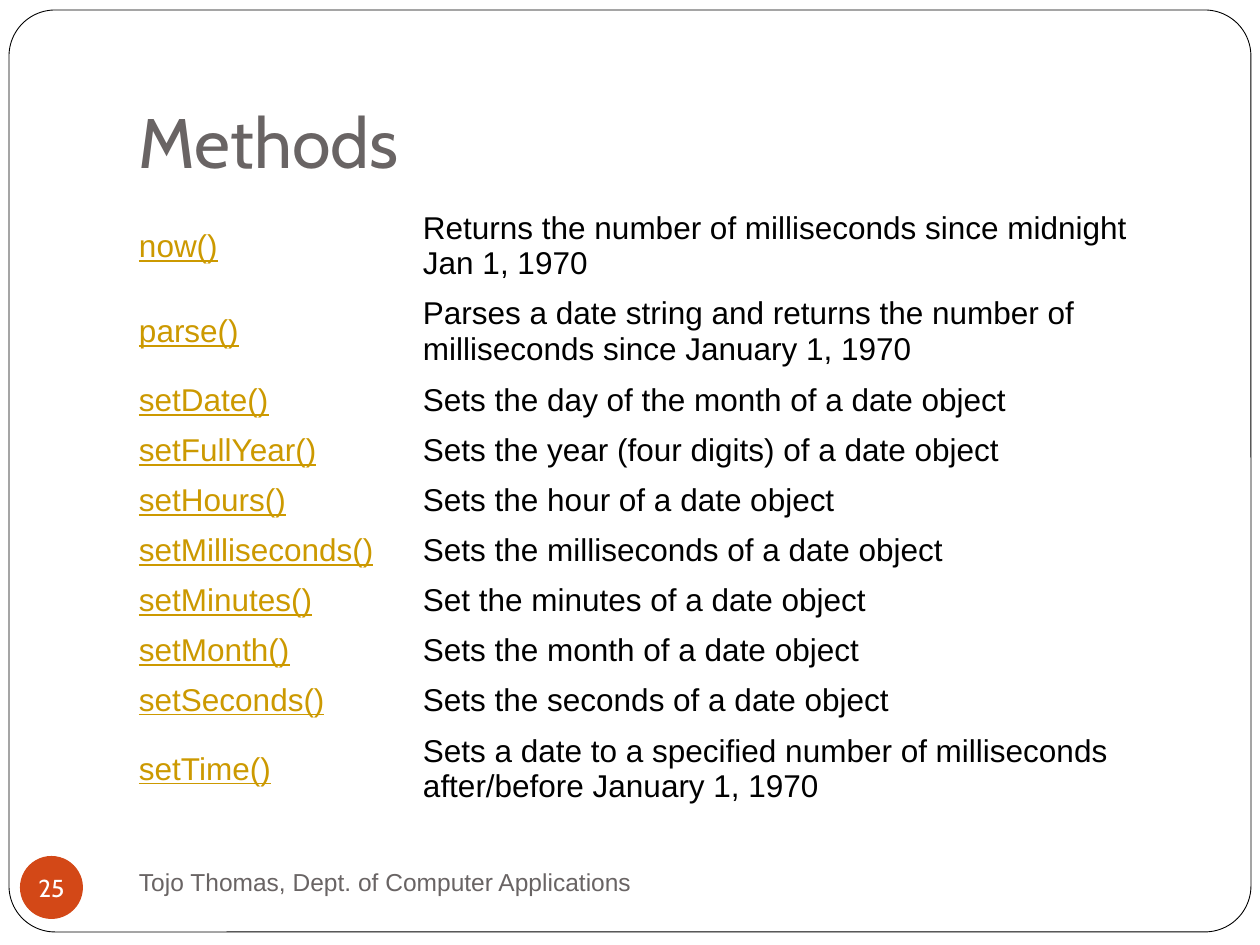
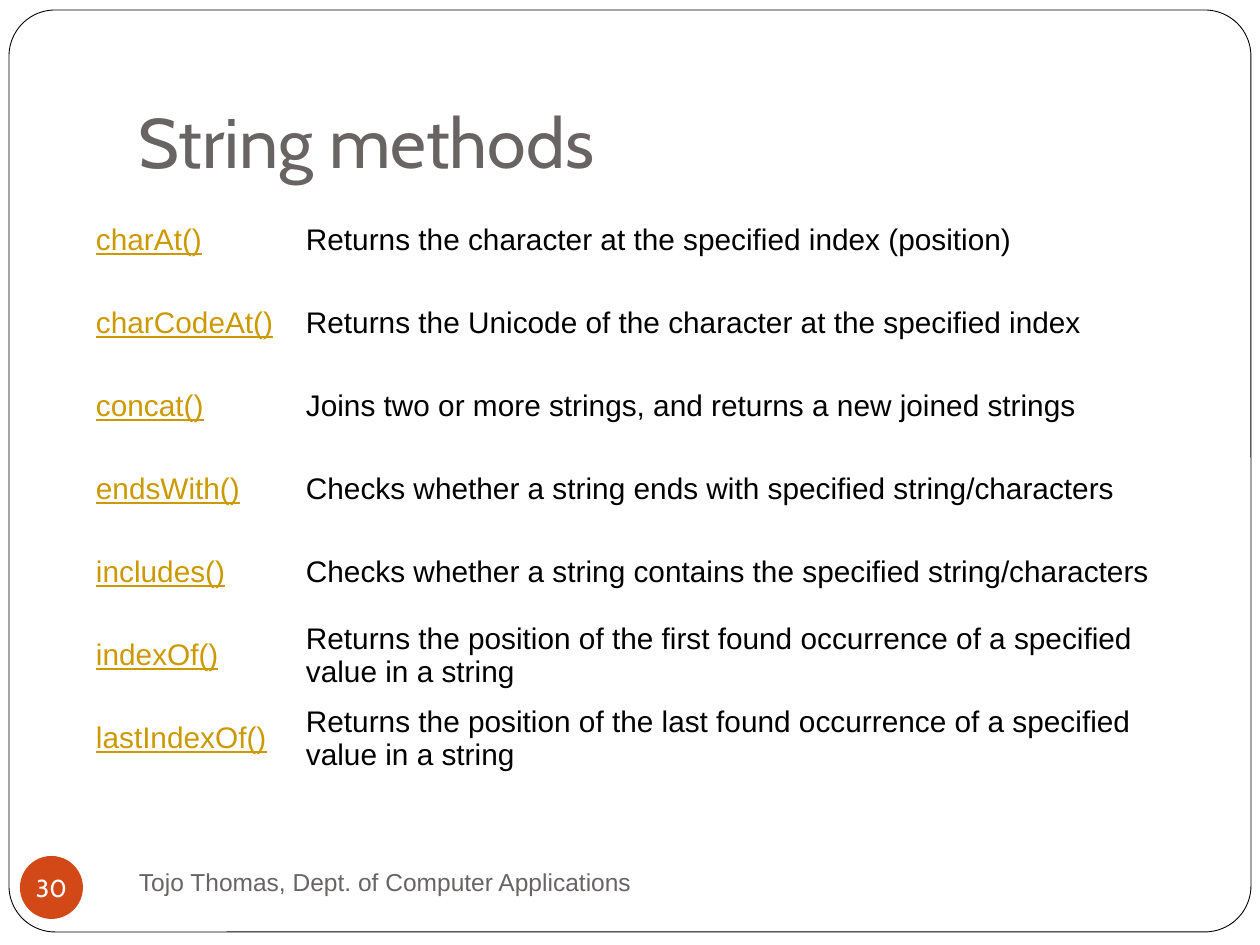
"""Build two slides that list date and string methods in tables."""
import pptx
import pptx.dml.color
import pptx.enum.shapes
import pptx.enum.text
import pptx.util

FOOTER = "Tojo Thomas, Dept. of Computer Applications"

DATE_METHODS = [
    ("now()", "Returns the number of milliseconds since midnight Jan 1, 1970"),
    ("parse()", "Parses a date string and returns the number of milliseconds since January 1, 1970"),
    ("setDate()", "Sets the day of the month of a date object"),
    ("setFullYear()", "Sets the year (four digits) of a date object"),
    ("setHours()", "Sets the hour of a date object"),
    ("setMilliseconds()", "Sets the milliseconds of a date object"),
    ("setMinutes()", "Set the minutes of a date object"),
    ("setMonth()", "Sets the month of a date object"),
    ("setSeconds()", "Sets the seconds of a date object"),
    ("setTime()", "Sets a date to a specified number of milliseconds after/before January 1, 1970"),
]

STRING_METHODS = [
    ("charAt()", "Returns the character at the specified index (position)"),
    ("charCodeAt()", "Returns the Unicode of the character at the specified index"),
    ("concat()", "Joins two or more strings, and returns a new joined strings"),
    ("endsWith()", "Checks whether a string ends with specified string/characters"),
    ("includes()", "Checks whether a string contains the specified string/characters"),
    ("indexOf()", "Returns the position of the first found occurrence of a specified value in a string"),
    ("lastIndexOf()", "Returns the position of the last found occurrence of a specified value in a string"),
]


def px(length):
    return pptx.util.Emu(round(length * 914400 / 126))


def color(value):
    return pptx.dml.color.RGBColor.from_string(value)


class Deck:
    INK = "000000"
    PAPER = "FFFFFF"
    GREY = "696464"
    LINK = "CC9900"
    ACCENT = "D34817"
    HEADING_FONT = "Cabin"
    BODY_FONT = "Arial"

    def __init__(self):
        self.presentation = pptx.Presentation()
        self.presentation.slide_width = px(1260)
        self.presentation.slide_height = px(945)
        self.slide = None

    def add_slide(self, title, number):
        self.slide = self.presentation.slides.add_slide(self.presentation.slide_layouts[5])
        self.title(title)
        self.frame()
        self.footer()
        self.badge(number)

    def set_margins(self, holder, side, top, bottom):
        holder.margin_left = holder.margin_right = px(side)
        holder.margin_top = px(top)
        holder.margin_bottom = px(bottom)

    def add_run(self, paragraph, text, size, font, ink, underline=False):
        run = paragraph.add_run()
        run.text = text
        run.font.size = pptx.util.Pt(size)
        run.font.name = font
        run.font.underline = underline
        run.font.color.rgb = color(ink)

    def set_text(self, shape, text, size, font, ink, anchor, margins, wrap=True, align="LEFT"):
        frame = shape.text_frame
        frame.auto_size = pptx.enum.text.MSO_AUTO_SIZE.NONE
        frame.word_wrap = wrap
        frame.vertical_anchor = pptx.enum.text.MSO_ANCHOR[anchor]
        self.set_margins(frame, *margins)
        paragraph = frame.paragraphs[0]
        paragraph.alignment = pptx.enum.text.PP_ALIGN[align]
        self.add_run(paragraph, text, size, font, ink)

    def add_shape(self, kind, box, fill):
        preset = pptx.enum.shapes.MSO_SHAPE[kind]
        shape = self.slide.shapes.add_shape(preset, *map(px, box))
        shape.shadow.inherit = False
        shape.fill.solid()
        shape.fill.fore_color.rgb = color(fill)
        shape.line.fill.background()
        return shape

    def title(self, text):
        shape = self.slide.shapes.title
        shape.left, shape.top, shape.width, shape.height = map(px, (126, 38, 1071, 158))
        self.set_text(shape, text, 40, self.HEADING_FONT, self.GREY, "BOTTOM", (13, 6, 13))

    def frame(self):
        shape = self.add_shape("ROUNDED_RECTANGLE", (9, 10, 1242, 922), self.PAPER)
        shape.adjustments[0] = 0.05
        shape.line.color.rgb = color(self.INK)
        shape.line.width = pptx.util.Pt(0.5)
        self.slide.shapes.title.element.addprevious(shape.element)

    def footer(self):
        shape = self.slide.shapes.add_textbox(*map(px, (126, 850, 546, 63)))
        self.set_text(shape, FOOTER, 14, self.BODY_FONT, self.GREY, "MIDDLE", (13, 6, 6))

    def badge(self, number):
        shape = self.add_shape("OVAL", (20, 856, 63, 63), self.ACCENT)
        self.set_text(shape, str(number), 14, self.HEADING_FONT, self.PAPER, "MIDDLE",
                      (0, 0, 0), wrap=False, align="CENTER")

    def method_table(self, methods, left, top, widths, heights, size, margin):
        box = (left, top, sum(widths), sum(heights))
        table = self.slide.shapes.add_table(len(methods), 2, *map(px, box)).table
        table.first_row = table.horz_banding = False
        for column, width in zip(table.columns, widths):
            column.width = px(width)
        for row, height, texts in zip(table.rows, heights, methods):
            row.height = px(height)
            for cell, text, ink in zip(row.cells, texts, (self.LINK, self.INK)):
                cell.fill.background()
                cell.vertical_anchor = pptx.enum.text.MSO_ANCHOR.MIDDLE
                self.set_margins(cell, margin, 6, 6)
                self.add_run(cell.text_frame.paragraphs[0], text, size, self.BODY_FONT,
                             ink, underline=ink == self.LINK)


def main():
    deck = Deck()
    deck.add_slide("Methods", 25)
    deck.method_table(DATE_METHODS, 126, 205, (284, 787),
                      [50, 88] + [50] * 7 + [88], size=18, margin=13)
    deck.add_slide("String methods", 30)
    deck.method_table(STRING_METHODS, 84, 199, (210, 873),
                      [83] * len(STRING_METHODS), size=17, margin=12)
    deck.presentation.save("out.pptx")


if __name__ == "__main__":
    main()
